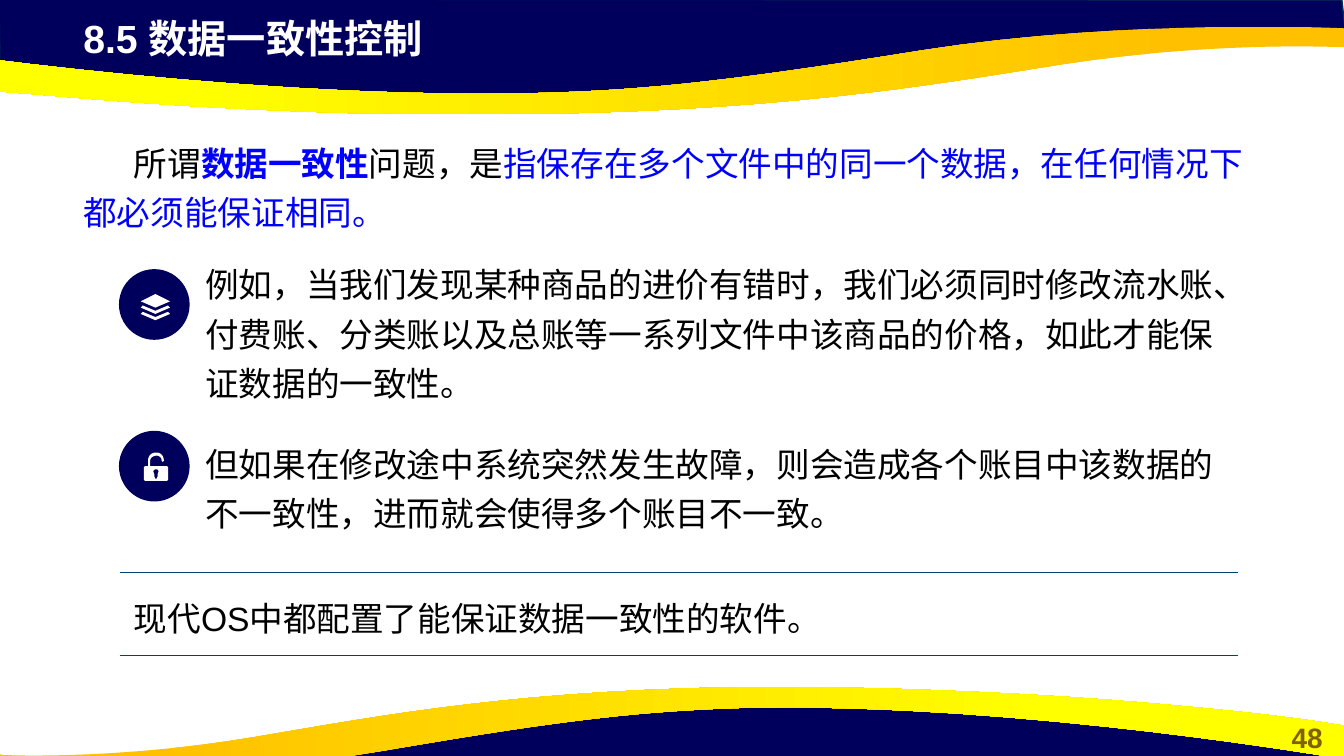
from dataclasses import dataclass

from lxml.etree import SubElement
from pptx import Presentation
from pptx.dml.color import RGBColor
from pptx.enum.shapes import MSO_CONNECTOR as Connector, MSO_SHAPE as Preset
from pptx.enum.text import MSO_ANCHOR as Anchor, PP_ALIGN as Align
from pptx.oxml.ns import qn
from pptx.shapes.autoshape import Shape
from pptx.slide import Slide
from pptx.util import Pt

EMU_PER_PX = 9525
CURVE_STEPS = 16
NAVY, EDGE, RULE = "00005C", "05304F", "07416B"
BLACK, BLUE, WHITE, OLIVE = "000000", "0000FF", "FFFFFF", "806000"
ORANGE, YELLOW = "FFC000", "FFFF00"

Outline = list[tuple[int, ...]]


@dataclass(frozen=True)
class Run:
    text: str
    color: str = BLACK
    bold: bool = False


@dataclass(frozen=True)
class TextBlock:
    left: int
    top: int
    width: int
    height: int
    runs: tuple[Run, ...]
    size: int = 24
    spacing: float = 1.23
    indent: int = 0
    anchor: Anchor = Anchor.MIDDLE
    align: Align = Align.LEFT


@dataclass(frozen=True)
class Wave:
    backdrop: Outline
    ribbon: Outline
    angle: int


@dataclass(frozen=True)
class Badge:
    top: int
    icon: list[Outline]


WAVES = [
    Wave(
        [(-1, -1), (0, 67), (281, 98), (537, 96), (763, 84), (975, 48),
         (1188, 32), (1282, 36), (1278, 0)],
        [(464, 109), (425, 109, 385, 108, 342, 108), (198, 104, 106, 96, 35, 90),
         (-84, 81, -125, 72, -128, 72), (-128, 40), (-128, 40, 209, 94, 496, 89),
         (601, 87, 680, 80, 878, 48), (1076, 17, 1280, 27, 1280, 27), (1280, 45),
         (1277, 45), (1253, 44, 1147, 41, 1013, 61), (881, 82, 732, 108, 464, 109)],
        180,
    ),
    Wave(
        [(1280, 762), (1279, 695), (998, 663), (742, 665), (516, 678), (304, 713),
         (91, 730), (-3, 726), (1, 761)],
        [(741, 654), (777, 654, 813, 655, 852, 656), (984, 660, 1068, 667, 1132, 673),
         (1240, 683, 1277, 691, 1280, 691), (1280, 723), (1280, 723, 973, 669, 712, 674),
         (616, 677, 544, 684, 365, 715), (180, 747, -1, 737, -1, 737), (-1, 718),
         (2, 719), (24, 720, 120, 722, 242, 702), (361, 682, 498, 655, 741, 654)],
        0,
    ),
]

LAYERS_ICON = [[(134, 287), (148, 280), (162, 287), (148, 293)]] + [
    [(134, 293 + drop), (136, 291 + drop), (148, 296 + drop),
     (160, 291 + drop), (162, 293 + drop), (148, 299 + drop)]
    for drop in (0, 6)
]
PADLOCK_ICON = [
    [(137, 445), (138, 444), (141, 444), (141, 439), (141, 434, 144, 431, 149, 431),
     (153, 431, 156, 434, 156, 439), (155, 440), (154, 439), (154, 436, 152, 434, 149, 434),
     (146, 434, 143, 436, 143, 439), (143, 444), (159, 444), (160, 445), (160, 457),
     (159, 458), (138, 458), (137, 457)],
    [(149, 447), (147, 447, 146, 448, 146, 449), (147, 452), (147, 454),
     (148, 456), (149, 456), (150, 454), (150, 452), (151, 449),
     (151, 448, 150, 447, 149, 447)],
]
BADGES = [Badge(411, PADLOCK_ICON), Badge(257, LAYERS_ICON)]

TEXT_BLOCKS = [
    TextBlock(1210, 681, 70, 42, (Run("48", OLIVE, True),), 20, 1.0,
              anchor=Anchor.TOP, align=Align.CENTER),
    TextBlock(70, 9, 737, 55, (Run("8.5 数据一致性控制", WHITE, True),), 28, 1.0,
              anchor=Anchor.TOP),
    TextBlock(70, 134, 1140, 80, (
        Run("所谓"),
        Run("数据一致性", BLUE, True),
        Run("问题，是"),
        Run("指保存在多个文件中的同一个数据，在任何情况下都必须能保证相同。", BLUE),
    ), indent=48),
    TextBlock(186, 249, 1010, 129, (Run(
        "例如，当我们发现某种商品的进价有错时，我们必须同时修改流水账、付费账、分类账"
        "以及总账等一系列文件中该商品的价格，如此才能保证数据的一致性。"),)),
    TextBlock(186, 416, 993, 90, (Run(
        "但如果在修改途中系统突然发生故障，则会造成各个账目中该数据的不一致性，"
        "进而就会使得多个账目不一致。"),)),
    TextBlock(70, 544, 1140, 80, (Run("现代OS中都配置了能保证数据一致性的软件。"),), indent=48),
]


def px(length: float) -> int:
    return round(length * EMU_PER_PX)


def rgb(color: str) -> RGBColor:
    return RGBColor.from_string(color)


def flatten(outline: Outline) -> list[tuple[int, int]]:
    points: list[tuple[float, float]] = []
    for step in outline:
        if len(step) == 2:
            points.append((step[0], step[1]))
            continue
        x0, y0 = points[-1]
        x1, y1, x2, y2, x3, y3 = step
        for index in range(1, CURVE_STEPS + 1):
            t = index / CURVE_STEPS
            a, b, c, d = (1 - t) ** 3, 3 * t * (1 - t) ** 2, 3 * t * t * (1 - t), t ** 3
            points.append((a * x0 + b * x1 + c * x2 + d * x3,
                           a * y0 + b * y1 + c * y2 + d * y3))
    return [(px(x), px(y)) for x, y in points]


def draw_outlines(slide: Slide, outlines: list[Outline]) -> Shape:
    first, *others = [flatten(outline) for outline in outlines]
    builder = slide.shapes.build_freeform(*first[0], scale=1.0)
    builder.add_line_segments(first[1:], close=True)
    for points in others:
        builder.move_to(*points[0])
        builder.add_line_segments(points[1:], close=True)
    shape = builder.convert_to_shape()
    shape.shadow.inherit = False
    return shape


def paint(shape: Shape, fill: str, line: str | None = None) -> None:
    shape.fill.solid()
    shape.fill.fore_color.rgb = rgb(fill)
    if line is None:
        shape.line.fill.background()
    else:
        shape.line.color.rgb = rgb(line)
        shape.line.width = Pt(1)


def draw_wave(slide: Slide, wave: Wave) -> None:
    paint(draw_outlines(slide, [wave.backdrop]), NAVY, EDGE)
    ribbon = draw_outlines(slide, [wave.ribbon])
    ribbon.line.fill.background()
    ribbon.fill.gradient()
    ribbon.fill.gradient_angle = wave.angle
    stops = zip(ribbon.fill.gradient_stops, ((0.11, ORANGE), (0.78, YELLOW)))
    for stop, (position, color) in stops:
        stop.position = position
        stop.color.rgb = rgb(color)


def draw_badge(slide: Slide, badge: Badge) -> None:
    disc = slide.shapes.add_shape(Preset.OVAL, px(114), px(badge.top), px(66), px(66))
    disc.shadow.inherit = False
    paint(disc, NAVY, NAVY)
    paint(draw_outlines(slide, badge.icon), WHITE)


def draw_text(slide: Slide, block: TextBlock) -> None:
    box = slide.shapes.add_textbox(
        px(block.left), px(block.top), px(block.width), px(block.height))
    frame = box.text_frame
    frame.word_wrap = True
    frame.vertical_anchor = block.anchor
    paragraph = frame.paragraphs[0]
    paragraph.alignment = block.align
    paragraph.line_spacing = block.spacing
    if block.indent:
        properties = paragraph._p.get_or_add_pPr()
        properties.set("marL", "0")
        properties.set("indent", str(px(block.indent)))
    paragraph.font.name = "Arial"
    paragraph.font.size = Pt(block.size)
    uniform = len(block.runs) == 1
    for part in block.runs:
        run = paragraph.add_run()
        run.text = part.text
        font = paragraph.font if uniform else run.font
        font.bold = part.bold
        font.color.rgb = rgb(part.color)


def draw_rule(slide: Slide, y: int) -> None:
    rule = slide.shapes.add_connector(Connector.STRAIGHT, px(114), px(y), px(1179), px(y))
    rule.line.color.rgb = rgb(RULE)
    rule.line.width = Pt(0.5)
    SubElement(rule._element.spPr, qn("a:effectLst"))


def main() -> None:
    presentation = Presentation()
    presentation.slide_width, presentation.slide_height = px(1280), px(720)
    slide = presentation.slides.add_slide(presentation.slide_layouts[6])
    for wave in WAVES:
        draw_wave(slide, wave)
    for block in TEXT_BLOCKS:
        draw_text(slide, block)
    for badge in BADGES:
        draw_badge(slide, badge)
    for y in (545, 624):
        draw_rule(slide, y)
    presentation.save("out.pptx")


if __name__ == "__main__":
    main()
